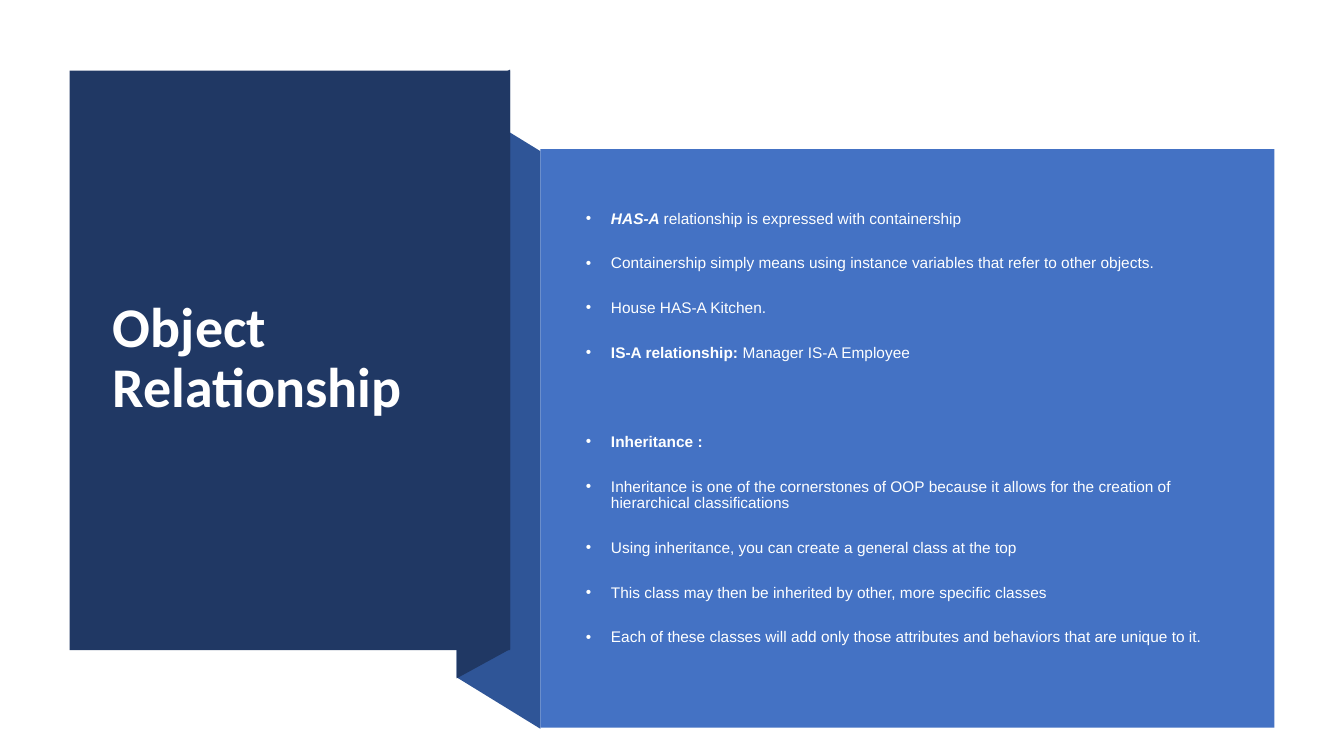
import pptx
import pptx.dml.color
import pptx.enum.shapes
import pptx.enum.text
import pptx.oxml
import pptx.oxml.ns
import pptx.util
from pptx.util import Inches

NAVY, FOLD_BLUE, BLUE = "203864", "2F5597", "4472C4"
WHITE, OFF_WHITE = "FFFFFF", "FEFFFF"
BULLETS = [
    [("HAS-A ", True, True), ("relationship is expressed with containership", False, False)],
    [("Containership simply means using instance variables that refer to other objects.", False, False)],
    [("House HAS-A Kitchen.", False, False)],
    [("IS-A relationship: ", True, False), ("Manager IS-A Employee", False, False)],
    [("Inheritance :", True, False)],
    [("Inheritance is one of the cornerstones of OOP because it allows for the creation of "
      "hierarchical classifications", False, False)],
    [("Using inheritance, you can create a general class at the top", False, False)],
    [("This class may then be inherited by other, more specific classes", False, False)],
    [("Each of these classes will add only those attributes and behaviors that are unique to it.",
      False, False)],
]
SECOND_GROUP_START = 4


def rgb(color):
    return pptx.dml.color.RGBColor.from_string(color)


def paint(shape, color):
    shape.shadow.inherit = False
    shape.fill.solid()
    shape.fill.fore_color.rgb = rgb(color)
    shape.line.fill.background()


def add_panel(slide, left, top, width, height, color):
    panel = slide.shapes.add_shape(pptx.enum.shapes.MSO_SHAPE.RECTANGLE,
                                   Inches(left), Inches(top), Inches(width), Inches(height))
    paint(panel, color)


def add_fold(slide, left, top, width, height, drop, color):
    """Draw a band whose right side sits lower than its left side by drop."""
    right, bottom = left + width, top + height
    corners = [(left, top), (right, top + drop), (right, bottom + drop), (left, bottom)]
    points = [(Inches(x), Inches(y)) for x, y in corners]
    builder = slide.shapes.build_freeform(*points[0])
    builder.add_line_segments(points[1:], close=True)
    paint(builder.convert_to_shape(), color)


def place_text(placeholder, left, top, width, height):
    """Move a placeholder to the front and into its box, and return its text frame."""
    placeholder.left, placeholder.top = Inches(left), Inches(top)
    placeholder.width, placeholder.height = Inches(width), Inches(height)
    placeholder.element.getparent().append(placeholder.element)
    frame = placeholder.text_frame
    frame.word_wrap = True
    frame.auto_size = pptx.enum.text.MSO_AUTO_SIZE.NONE
    frame.vertical_anchor = pptx.enum.text.MSO_ANCHOR.MIDDLE
    return frame


def format_paragraph(paragraph, name, size, color):
    paragraph.alignment = pptx.enum.text.PP_ALIGN.LEFT
    paragraph.line_spacing = 0.9
    paragraph.font.name = name
    paragraph.font.size = pptx.util.Pt(size)
    paragraph.font.color.rgb = rgb(color)


def add_bullet(paragraph):
    properties = paragraph._p.get_or_add_pPr()
    properties.set("marL", str(Inches(0.25)))
    properties.set("indent", str(-Inches(0.25)))
    properties.append(pptx.oxml.parse_xml(
        f'<a:buFont {pptx.oxml.ns.nsdecls("a")} typeface="Arial"/>'))
    properties.append(pptx.oxml.parse_xml(
        f'<a:buChar {pptx.oxml.ns.nsdecls("a")} char="•"/>'))


def add_title_region(slide, left, top, width, height):
    add_panel(slide, left, top, width, height, NAVY)
    frame = place_text(slide.shapes.title, left + 0.33, top + 0.37, width - 0.66, height - 0.76)
    frame.text = "Object Relationship"
    paragraph = frame.paragraphs[0]
    format_paragraph(paragraph, "Calibri", 40, WHITE)
    paragraph.font.bold = True


def add_body_region(slide, left, top, width, height):
    add_panel(slide, left, top, width, height, BLUE)
    frame = place_text(slide.placeholders[1], left + 0.35, top + 0.4, width - 0.77, height - 1)
    last = len(BULLETS) - 1
    for index, runs in enumerate(BULLETS):
        paragraph = frame.paragraphs[0] if index == 0 else frame.add_paragraph()
        add_bullet(paragraph)
        format_paragraph(paragraph, "Arial", 11, OFF_WHITE)
        before = {0: 0, SECOND_GROUP_START: 42}.get(index, 10)
        paragraph.space_before = pptx.util.Pt(before)
        paragraph.space_after = pptx.util.Pt(0 if index == last else 10)
        for text, bold, italic in runs:
            run = paragraph.add_run()
            run.text = text
            run.font.bold = bold
            run.font.italic = italic


def main():
    presentation = pptx.Presentation()
    presentation.slide_width, presentation.slide_height = Inches(13.33), Inches(7.5)
    slide = presentation.slides.add_slide(presentation.slide_layouts[1])
    add_fold(slide, 4.53, 0.99, 0.83, 5.73, 0.51, FOLD_BLUE)
    add_fold(slide, 4.53, 0.98, 0.53, 5.75, -0.29, NAVY)
    add_title_region(slide, 0.69, 0.7, 4.37, 5.75)
    add_body_region(slide, 5.36, 1.48, 7.28, 5.74)
    presentation.save("out.pptx")


if __name__ == "__main__":
    main()
